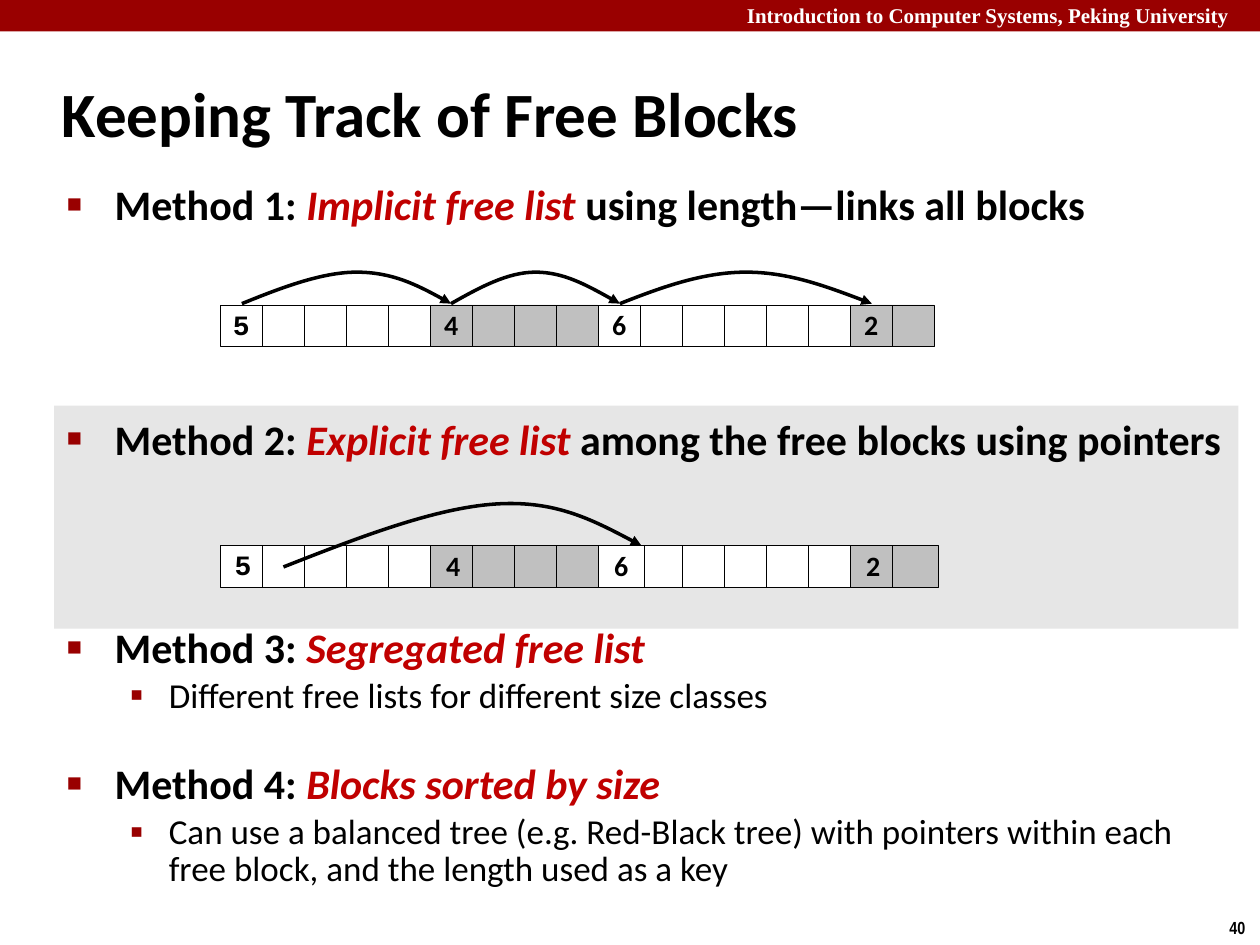
"""Build a slide that compares ways to keep track of free memory blocks."""
from lxml import etree
from pptx import Presentation
from pptx import util as u
from pptx.dml import color
from pptx.enum import shapes, text
from pptx.oxml import ns

BLACK, WHITE, RED, DARK = "000000", "FFFFFF", "C00000", "990000"
BAND, GRAY = "E6E6E6", "C0C0C0"
HEAD = dict(name="Calibri", size=u.Pt(24), bold=True, italic=False)
SUB = dict(name="Calibri", size=u.Pt(20), bold=False, italic=False)
LEVELS = [
    dict(font=HEAD, left=0.38, hang=0.38, mark="■", pct=60),
    dict(font=SUB, left=0.81, hang=0.31, mark="▪", pct=110),
]
ITEMS = [
    (0, 0, 1, ["Method 1: ", "Implicit free list ", "using length—links all blocks"]),
    (0, 105, 1, ["Method 2: ", "Explicit free list ", "among the free blocks using pointers"]),
    (0, 95, 0.83, ["Method 3: ", "Segregated free list"]),
    (1, 4, 0.88, ["Different free lists for different size classes"]),
    (0, 29, 0.83, ["Method 4: ", "Blocks sorted by size"]),
    (1, 4, 0.88, ["Can use a balanced tree (e.g. Red-Black tree) with pointers "
                  "within each free block, and the length used as a key"]),
]
BLOCKS = [(5, WHITE), (4, GRAY), (6, WHITE), (2, GRAY)]
ROWS = [(2.42, 0.33), (4.33, 0.36)]
ARCS = [
    [(1.92, 2.41), (2.24, 2.28), (2.56, 2.16), (2.83, 2.16),
     (3.11, 2.16), (3.35, 2.28), (3.58, 2.41)],
    [(3.58, 2.41), (3.81, 2.28), (4.03, 2.16), (4.25, 2.16),
     (4.47, 2.16), (4.69, 2.28), (4.92, 2.41)],
    [(4.92, 2.41), (5.25, 2.28), (5.58, 2.16), (5.92, 2.16),
     (6.25, 2.16), (6.58, 2.28), (6.92, 2.41)],
    [(2.25, 4.5), (2.86, 4.26), (3.46, 4.03), (3.94, 4),
     (4.41, 3.97), (4.75, 4.15), (5.09, 4.33)],
]


def rgb(code):
    """Turn a hex string into a colour."""
    return color.RGBColor.from_string(code)


def put(item, vals):
    """Set each named value on an object."""
    for key, val in vals.items():
        setattr(item, key, val)


def sub(node, tag, **vals):
    """Append a drawing element to a node."""
    return etree.SubElement(node, ns.qn("a:" + tag), vals)


class Deck:
    """Holds the style and the current slide."""

    def __init__(self):
        """Open a deck with one title and body slide."""
        self.prs = Presentation()
        put(self.prs, dict(slide_width=u.Inches(10), slide_height=u.Inches(7.5)))
        self.slide = self.prs.slides.add_slide(self.prs.slide_layouts[1])
        self.items = self.slide.shapes

    def place(self, shape, *at):
        """Move and size a shape."""
        put(shape, dict(zip(("left", "top", "width", "height"), map(u.Inches, at))))

    def words(self, para, words, font, hue=BLACK):
        """Add a run to a paragraph."""
        run = para.add_run()
        run.text = words
        put(run.font, font)
        run.font.color.rgb = rgb(hue)

    def label(self, at, words, font, hue, wrap):
        """Add a text box."""
        frame = self.items.add_textbox(*map(u.Inches, at)).text_frame
        frame.word_wrap = wrap
        self.words(frame.paragraphs[0], words, font, hue)

    def box(self, at, fill, edge=False):
        """Add a filled rectangle."""
        shape = self.items.add_shape(shapes.MSO_SHAPE.RECTANGLE, *map(u.Inches, at))
        shape.shadow.inherit = False
        shape.fill.solid()
        shape.fill.fore_color.rgb = rgb(fill)
        if edge:
            shape.line.color.rgb = rgb(BLACK)
            shape.line.width = u.Pt(0.25)
        else:
            shape.line.fill.background()
        return shape

    def back(self, at, fill):
        """Add a rectangle behind everything else."""
        shape = self.box(at, fill)
        self.items._spTree.insert(2, shape._element)

    def title(self, words):
        """Fill the title."""
        shape = self.items.title
        self.place(shape, 0.39, 0.48, 8.3, 0.83)
        put(shape.text_frame, dict(vertical_anchor=text.MSO_ANCHOR.MIDDLE,
                                   auto_size=text.MSO_AUTO_SIZE.NONE))
        para = shape.text_frame.paragraphs[0]
        para.alignment = text.PP_ALIGN.LEFT
        self.words(para, words, {**HEAD, "size": u.Pt(36)})

    def body(self, items):
        """Fill the body with a list of two levels."""
        shape = self.slide.placeholders[1]
        self.place(shape, 0.43, 1.37, 9.4, 5.88)
        frame = shape.text_frame
        frame.auto_size = text.MSO_AUTO_SIZE.NONE
        for num, (level, gap, lead, runs) in enumerate(items):
            para = frame.add_paragraph() if num else frame.paragraphs[0]
            look = LEVELS[level]
            self.bullet(para, look)
            put(para, dict(level=level, space_before=u.Pt(gap), line_spacing=lead))
            for spot, words in enumerate(runs):
                key = spot == 1
                font = {**look["font"], "italic": key}
                self.words(para, words, font, RED if key else BLACK)

    def bullet(self, para, look):
        """Give a paragraph its indent and bullet."""
        props = para._p.get_or_add_pPr()
        props.set("marL", str(u.Inches(look["left"])))
        props.set("indent", str(-u.Inches(look["hang"])))
        sub(sub(props, "buClr"), "srgbClr", val=DARK)
        sub(props, "buSzPct", val=str(look["pct"] * 1000))
        sub(props, "buFont", typeface="Arial")
        sub(props, "buChar", char=look["mark"])

    def cell(self, at, fill, size):
        """Add one word of memory, with its block size if given."""
        shape = self.box(at, fill, True)
        if size:
            frame = shape.text_frame
            put(frame, dict(word_wrap=False, vertical_anchor=text.MSO_ANCHOR.MIDDLE))
            first = size == 5
            para = frame.paragraphs[0]
            put(para, dict(alignment=text.PP_ALIGN.CENTER,
                           line_spacing=0.94 if first else 0.98))
            face = "Courier New" if first else "Calibri"
            self.words(para, str(size), dict(name=face, size=u.Pt(16), bold=True))

    def row(self, top, width):
        """Add a row of memory words, with the head of block 6 in front."""
        cells = [(size if not num else None, fill)
                 for size, fill in BLOCKS for num in range(size)]
        order = sorted(enumerate(cells), key=lambda pair: pair[1][0] == 6)
        for spot, (size, fill) in order:
            self.cell((1.75 + spot / 3, top, width, 0.33), fill, size)

    def arc(self, points):
        """Add a curved arrow of two cubic pieces."""
        pts = [tuple(map(u.Inches, point)) for point in points]
        form = self.items.build_freeform(*pts[0])
        form.add_line_segments(pts[1:], close=False)
        shape = form.convert_to_shape()
        shape.shadow.inherit = False
        shape.fill.background()
        shape.line.color.rgb = rgb(BLACK)
        shape.line.width = u.Pt(2)
        sub(shape.line._get_or_add_ln(), "tailEnd", type="triangle")
        lines = list(shape._element.iter(ns.qn("a:lnTo")))
        route = lines[0].getparent()
        for start in (0, 3):
            curve = sub(route, "cubicBezTo")
            for line in lines[start:start + 3]:
                curve.append(line[0])
                route.remove(line)


def main():
    """Build and save the slide."""
    deck = Deck()
    deck.back((0.43, 3.22, 9.4, 1.77), BAND)
    deck.back((0, 0, 10, 0.25), DARK)
    deck.label((5.83, -0.03, 4.24, 0.3),
               "Introduction to Computer Systems, Peking University",
               dict(name="Times New Roman", size=u.Pt(12), bold=True), WHITE, True)
    deck.label((9.66, 7.23, 0.34, 0.27), "40",
               dict(name="Arial Narrow", size=u.Pt(10), bold=True), BLACK, False)
    deck.title("Keeping Track of Free Blocks")
    deck.body(ITEMS)
    for top, width in ROWS:
        deck.row(top, width)
    for points in ARCS:
        deck.arc(points)
    deck.prs.save("out.pptx")


if __name__ == "__main__":
    main()
